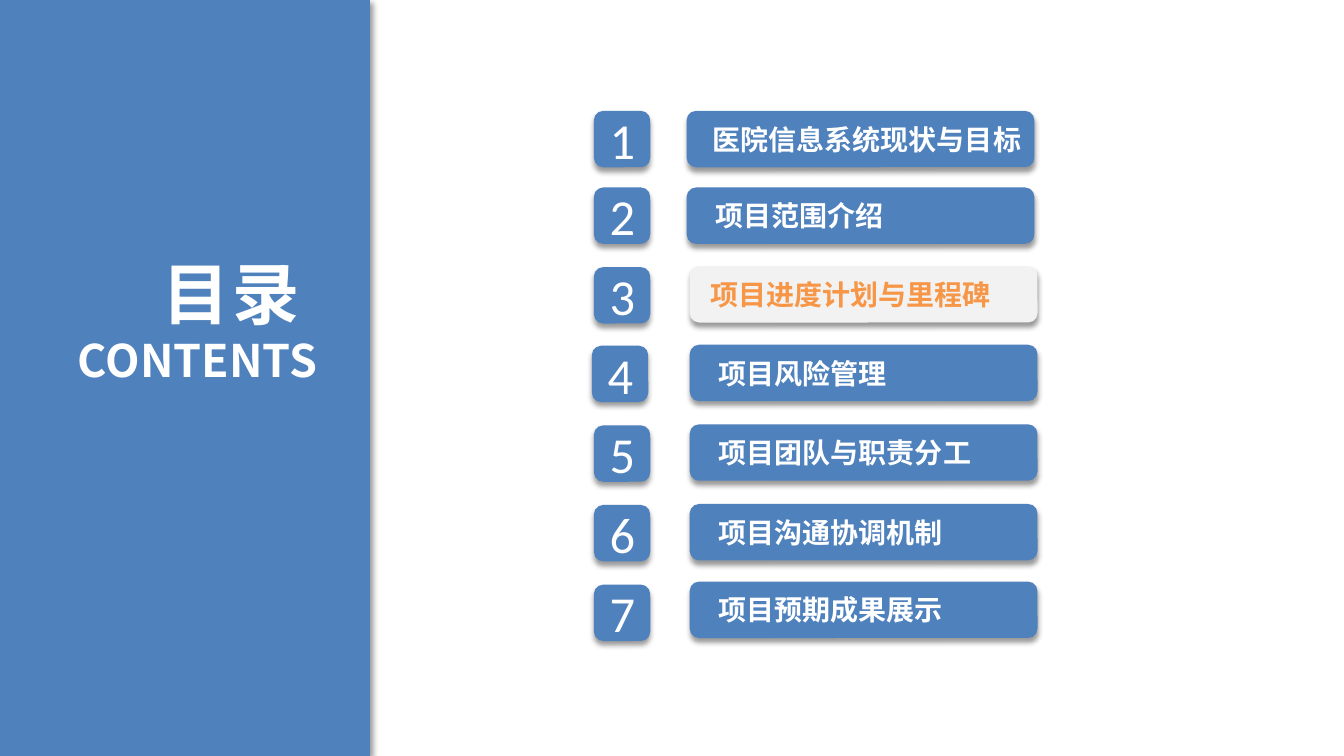
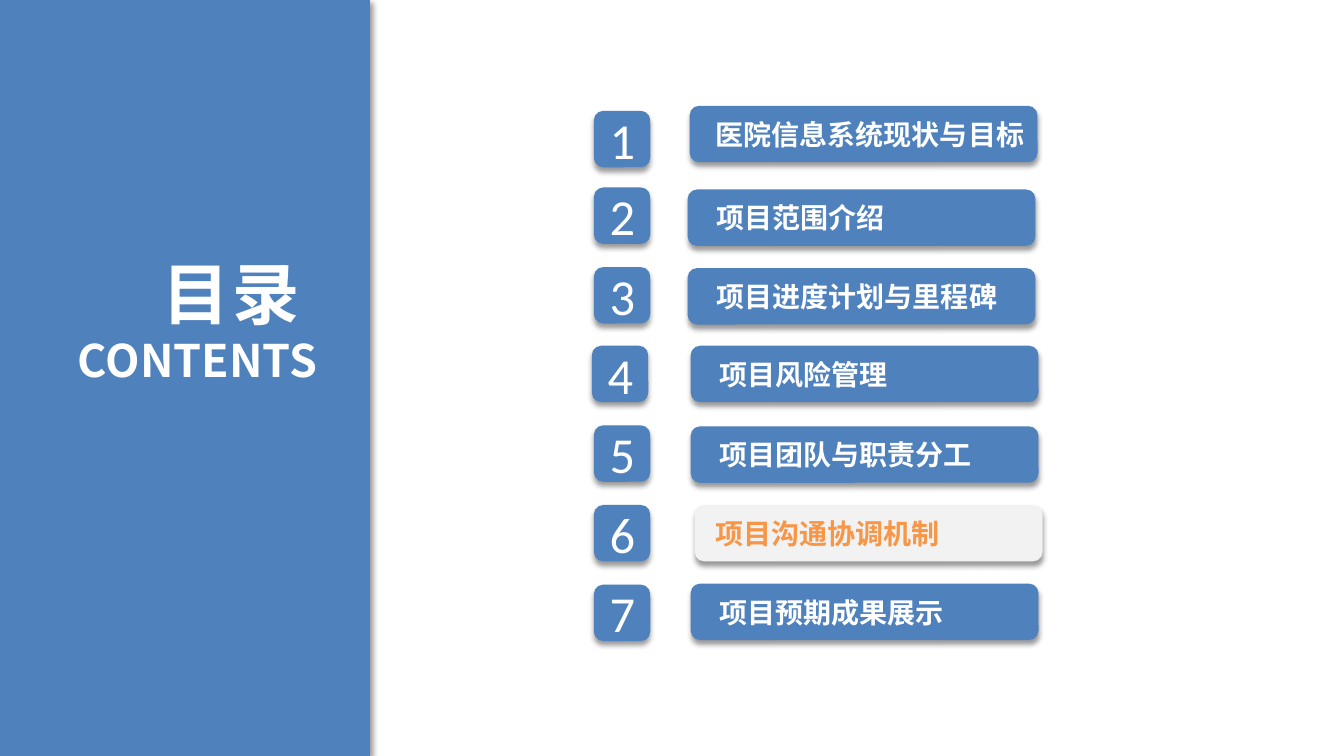
"""Build two contents slides, each highlighting its current section."""
from lxml.etree import SubElement
from pptx import Presentation
from pptx.dml.color import RGBColor
from pptx.enum.shapes import MSO_SHAPE
from pptx.enum.text import MSO_ANCHOR, MSO_AUTO_SIZE, PP_ALIGN
from pptx.oxml.ns import qn
from pptx.util import Inches, Pt

BLUE, WHITE, PALE, ORANGE = "4F81BD", "FFFFFF", "F2F2F2", "F79646"
HEADING_FONT, NUMBER_FONT = "Noto Sans CJK SC", "Calibri"
ROW_SIZE = 0.56

SECTIONS = [
    "医院信息系统现状与目标",
    "项目范围介绍",
    "项目进度计划与里程碑",
    "项目风险管理",
    "项目团队与职责分工",
    "项目沟通协调机制",
    "项目预期成果展示",
]
BADGES = [(5.89, 1.1), (5.89, 1.86), (5.89, 2.65), (5.87, 3.43),
          (5.89, 4.22), (5.89, 5.01), (5.89, 5.8)]
AGENDAS = [
    (3, [(6.81, 1.1), (6.81, 1.86), (6.84, 2.64), (6.84, 3.42),
         (6.84, 4.21), (6.84, 5), (6.84, 5.77)]),
    (6, [(6.84, 1.05), (6.82, 1.88), (6.82, 2.66), (6.85, 3.43),
         (6.85, 4.23), (6.89, 5.01), (6.85, 5.79)]),
]


def add_block(slide, preset, left, top, width, height, fill, shadow_angle=90):
    """Add a borderless filled shape with a soft shadow."""
    block = slide.shapes.add_shape(
        preset, Inches(left), Inches(top), Inches(width), Inches(height))
    block.fill.solid()
    block.fill.fore_color.rgb = RGBColor.from_string(fill)
    block.line.fill.background()
    block.shadow.inherit = False
    effects = block.element.spPr.find(qn("a:effectLst"))
    shadow = SubElement(effects, qn("a:outerShdw"), blurRad=str(Pt(4)),
                        dist=str(Pt(3)), dir=str(shadow_angle * 60000),
                        algn="t", rotWithShape="0")
    black = SubElement(shadow, qn("a:srgbClr"), val="000000")
    SubElement(black, qn("a:alpha"), val="40000")
    return block


def format_text(paragraph, align, size, font_name, color, bold=False, spacing=0):
    """Align a paragraph and format its only run."""
    paragraph.alignment = align
    run = paragraph.runs[0]
    run.font.size = Pt(size)
    run.font.bold = bold
    run.font.name = font_name
    run.font.color.rgb = RGBColor.from_string(color)
    properties = run.font._element
    properties.set("spc", str(spacing * 100))
    properties.find(qn("a:latin")).addnext(
        properties.makeelement(qn("a:ea"), {"typeface": font_name}))


deck = Presentation()
deck.slide_width, deck.slide_height = Inches(13.33), Inches(7.5)
layout = deck.slide_layouts[5]
slides = [deck.slides.add_slide(layout) for _ in AGENDAS]

layout_title = layout.placeholders[0]
layout_title.left, layout_title.top = Inches(0.21), Inches(2.43)
layout_title.width, layout_title.height = Inches(3.07), Inches(1.48)
side_panel = add_block(slides[0], MSO_SHAPE.RECTANGLE, 0, 0, 3.67, 7.5, BLUE, 45)
layout_title.element.addprevious(side_panel.element)

for slide, (current, bars) in zip(slides, AGENDAS):
    heading = slide.shapes.title.text_frame
    heading.text = "目录 \nCONTENTS"
    heading.vertical_anchor = MSO_ANCHOR.TOP
    heading.auto_size = MSO_AUTO_SIZE.NONE
    heading.margin_left = heading.margin_right = Inches(0.13)
    heading.margin_top = heading.margin_bottom = Inches(0.07)
    for paragraph, size, spacing in zip(heading.paragraphs, (48, 32), (2, 0)):
        format_text(paragraph, PP_ALIGN.RIGHT, size, HEADING_FONT, WHITE, True, spacing)

    rows = zip(SECTIONS, BADGES, bars)
    for number, (section, badge_at, bar_at) in enumerate(rows, start=1):
        badge = add_block(slide, MSO_SHAPE.ROUNDED_RECTANGLE, *badge_at,
                          ROW_SIZE, ROW_SIZE, BLUE).text_frame
        badge.text = str(number)
        badge.vertical_anchor = MSO_ANCHOR.MIDDLE
        badge.margin_left = badge.margin_right = Inches(0.13)
        badge.margin_top = badge.margin_bottom = Inches(0.07)
        format_text(badge.paragraphs[0], PP_ALIGN.CENTER, 36, NUMBER_FONT, WHITE)

        if number == current:
            fill, color, indent = PALE, ORANGE, 0.18
        else:
            fill, color, indent = BLUE, WHITE, 0.23 if number == 1 else 0.26
        bar = add_block(slide, MSO_SHAPE.ROUNDED_RECTANGLE, *bar_at,
                        3.45, ROW_SIZE, fill).text_frame
        bar.text = section
        bar.word_wrap = False
        bar.vertical_anchor = MSO_ANCHOR.MIDDLE
        bar.margin_left, bar.margin_right = Inches(indent), Inches(0)
        format_text(bar.paragraphs[0], PP_ALIGN.LEFT, 20, HEADING_FONT, color, True)

deck.save("out.pptx")
